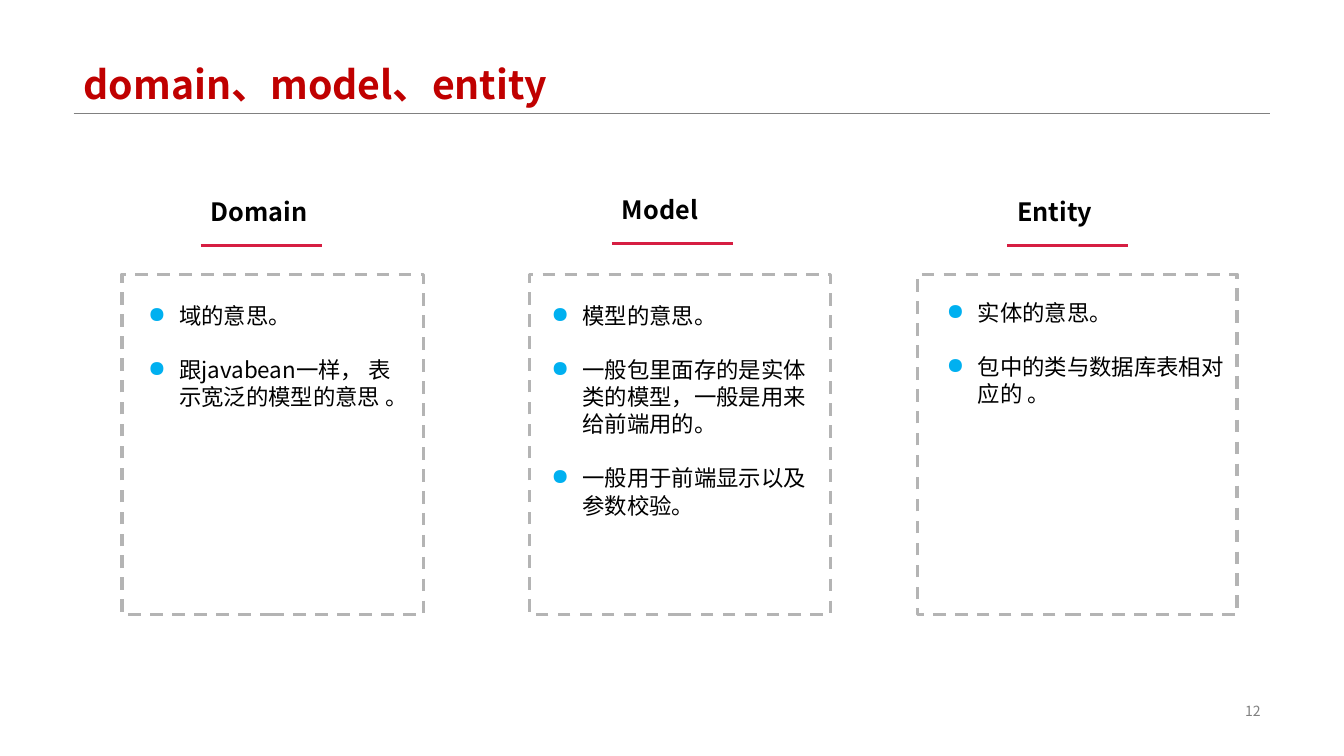
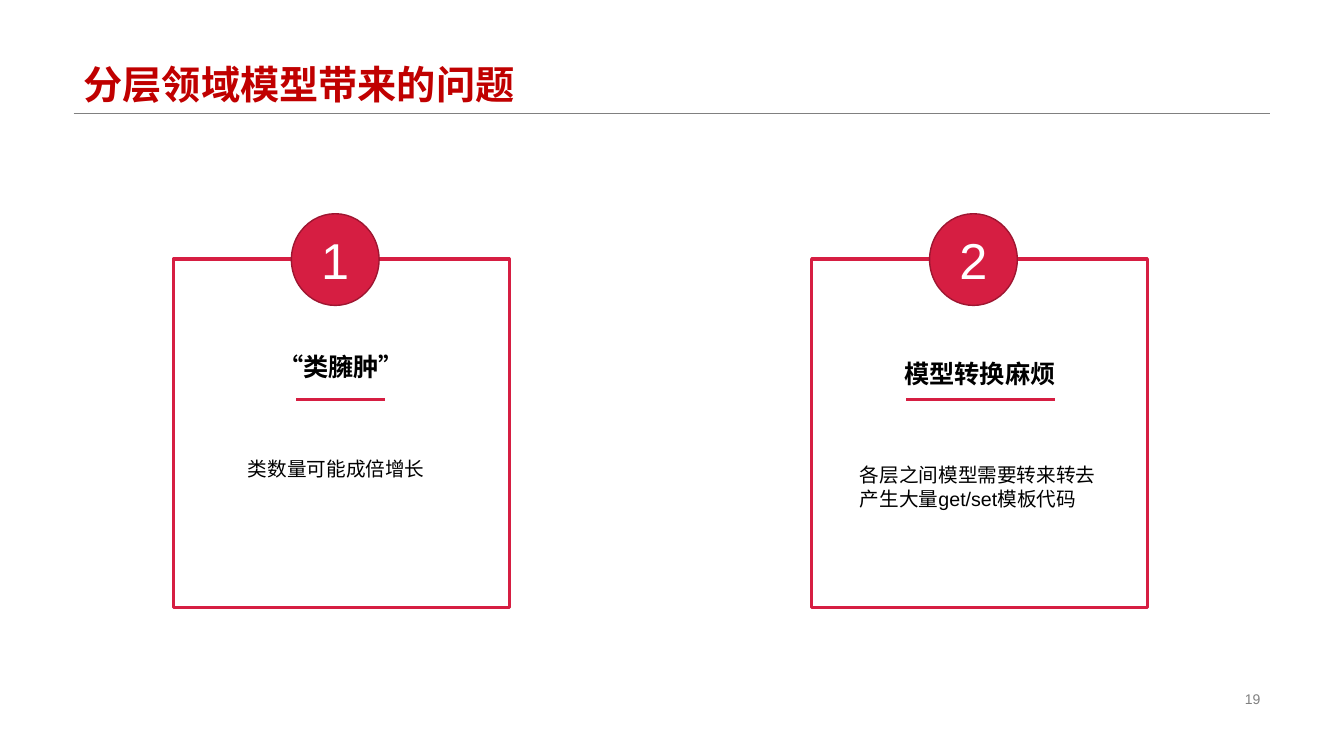
from dataclasses import dataclass

from lxml import etree
from pptx import Presentation
from pptx import util as u
from pptx.dml.color import RGBColor
from pptx.enum import dml, shapes, text
from pptx.oxml.ns import qn

PX = 9144  # EMU in one px, 100 px to the inch


@dataclass(frozen=True)
class Theme:
    # Colours
    title: str = "C00000"
    accent: str = "D61E42"
    accent_dark: str = "9E1631"
    bullet: str = "00B0F0"
    dash: str = "B4B4B4"
    grey: str = "808080"
    black: str = "000000"
    white: str = "FFFFFF"
    # Fonts
    cjk: str = "Noto Sans CJK SC"
    latin: str = "Arial"
    # Type sizes and line pitch, in points
    title_size: int = 28
    number_size: int = 36
    head_size: int = 18
    head_pitch: int = 23
    list_size: int = 16
    list_pitch: float = 19.3
    note_size: int = 14
    note_pitch: int = 17
    page_size: int = 10
    # Line widths, in points
    thick: float = 2.25
    thin: float = 0.25


T = Theme()


def px(*lengths):
    return [u.Emu(n * PX) for n in lengths]


def rgb(colour):
    return RGBColor.from_string(colour)


# Text

def style(tf, size, font, colour=T.black, bold=False, pitch=None, align=None):
    """Format every paragraph and run of a text frame."""
    for p in tf.paragraphs:
        p.alignment = align
        if pitch:
            p.line_spacing = u.Pt(pitch)
        for r in p.runs:
            r.font.size = u.Pt(size)
            r.font.name = font
            r.font.bold = bold
            r.font.color.rgb = rgb(colour)
            ea = etree.SubElement(r.font._element, qn("a:ea"))
            ea.set("typeface", T.cjk)


def add_text(s, box, content, size, font, **look):
    tf = s.shapes.add_textbox(*px(*box)).text_frame
    tf.word_wrap = True
    tf.text = content
    style(tf, size, font, **look)
    return tf


def add_bullets(s, box, items):
    tf = add_text(s, box, "\n".join(items), T.list_size, T.cjk,
                  pitch=T.list_pitch)
    for i, p in enumerate(tf.paragraphs):
        p.space_before = u.Pt(T.list_pitch if i else 0)
        pPr = p._p.get_or_add_pPr()
        pPr.set("marL", str(31 * PX))
        pPr.set("indent", str(-31 * PX))
        colour = etree.SubElement(pPr, qn("a:buClr"))
        etree.SubElement(colour, qn("a:srgbClr")).set("val", T.bullet)
        etree.SubElement(pPr, qn("a:buChar")).set("char", "●")


# Shapes and lines

def add_shape(s, kind, box, fill, line, width):
    sp = s.shapes.add_shape(kind, *px(*box))
    sp.shadow.inherit = False
    sp.fill.solid()
    sp.fill.fore_color.rgb = rgb(fill)
    sp.line.color.rgb = rgb(line)
    sp.line.width = u.Pt(width)
    return sp


def add_rule(s, x, y, length, colour=T.accent, width=T.thick):
    line = s.shapes.add_connector(shapes.MSO_CONNECTOR.STRAIGHT,
                                  *px(x, y, x + length, y))
    line.line.color.rgb = rgb(colour)
    line.line.width = u.Pt(width)
    etree.SubElement(line._element.spPr, qn("a:effectLst"))


# Slide parts

def add_slide(prs, title, page, page_y, page_font):
    """Start a slide with its title, title rule and page number."""
    s = prs.slides.add_slide(prs.slide_layouts.get_by_name("Title Only"))
    sp = s.shapes.title
    sp.left, sp.top, sp.width, sp.height = px(73, 0, 1187, 112)
    tf = sp.text_frame
    tf.text = title
    tf.auto_size = text.MSO_AUTO_SIZE.NONE
    tf.vertical_anchor = text.MSO_ANCHOR.BOTTOM
    style(tf, T.title_size, T.cjk, T.title, bold=True,
          align=text.PP_ALIGN.LEFT)
    tf.paragraphs[0].line_spacing = 0.9
    add_rule(s, 73, 112, 1187, T.grey, T.thin)
    tf = add_text(s, (942, page_y, 318, 23), page, T.page_size, page_font,
                  colour=T.grey, align=text.PP_ALIGN.RIGHT)
    tf.vertical_anchor = text.MSO_ANCHOR.MIDDLE
    return s


def add_column(s, x, width, head, head_x, head_y, list_box, items):
    """A heading with a rule above a dashed box with a list."""
    sp = add_shape(s, shapes.MSO_SHAPE.RECTANGLE, (x, 272, width, 338),
                   T.white, T.dash, T.thick)
    sp.line.dash_style = dml.MSO_LINE.DASH
    add_text(s, (head_x, head_y, 120, 40), head, T.head_size, T.cjk,
             bold=True, pitch=T.head_pitch)
    add_rule(s, head_x, head_y + 56, 120)
    add_bullets(s, list_box, items)


def add_card(s, x, number, head, head_box, rule, note, note_box):
    """A framed card with a numbered disc on its top edge."""
    add_shape(s, shapes.MSO_SHAPE.RECTANGLE, (x, 257, 333, 346),
              T.white, T.accent, T.thick)
    disc = add_shape(s, shapes.MSO_SHAPE.OVAL, (x + 117, 212, 87, 91),
                     T.accent, T.accent_dark, 1)
    tf = disc.text_frame
    tf.text = str(number)
    tf.vertical_anchor = text.MSO_ANCHOR.MIDDLE
    style(tf, T.number_size, T.latin, T.white, align=text.PP_ALIGN.CENTER)
    add_text(s, head_box, head, T.head_size, T.latin, bold=True,
             pitch=T.head_pitch)
    rule_x, rule_length = rule
    add_rule(s, rule_x, 396, rule_length)
    add_text(s, note_box, note, T.note_size, T.latin, pitch=T.note_pitch)


# Slides

def build_terms(prs):
    s = add_slide(prs, "domain、model、entity", "12", 694, T.cjk)
    columns = [
        (121, 299, "Domain", 199, 188, (137, 295, 274, 148),
         ["域的意思。", "跟javabean一样， 表示宽泛的模型的意思 。"]),
        (525, 299, "Model", 607, 186, (537, 295, 273, 256),
         ["模型的意思。",
          "一般包里面存的是实体类的模型，一般是用来给前端用的。",
          "一般用于前端显示以及参数校验。"]),
        (910, 317, "Entity", 999, 188, (929, 292, 299, 148),
         ["实体的意思。", "包中的类与数据库表相对应的 。"]),
    ]
    for column in columns:
        add_column(s, *column)


def build_problems(prs):
    s = add_slide(prs, "分层领域模型带来的问题", "19", 682, T.latin)
    cards = [
        (172, "“类臃肿”", (266, 342, 170, 40), (294, 88),
         "类数量可能成倍增长", (236, 448, 212, 34)),
        (805, "模型转换麻烦", (887, 349, 170, 40), (899, 147),
         "各层之间模型需要转来转去\n产生大量get/set模板代码",
         (843, 454, 254, 57)),
    ]
    for number, (x, *parts) in enumerate(cards, 1):
        add_card(s, x, number, *parts)


def main():
    prs = Presentation()
    prs.slide_width, prs.slide_height = px(1333, 750)
    build_terms(prs)
    build_problems(prs)
    prs.save("out.pptx")


if __name__ == "__main__":
    main()
